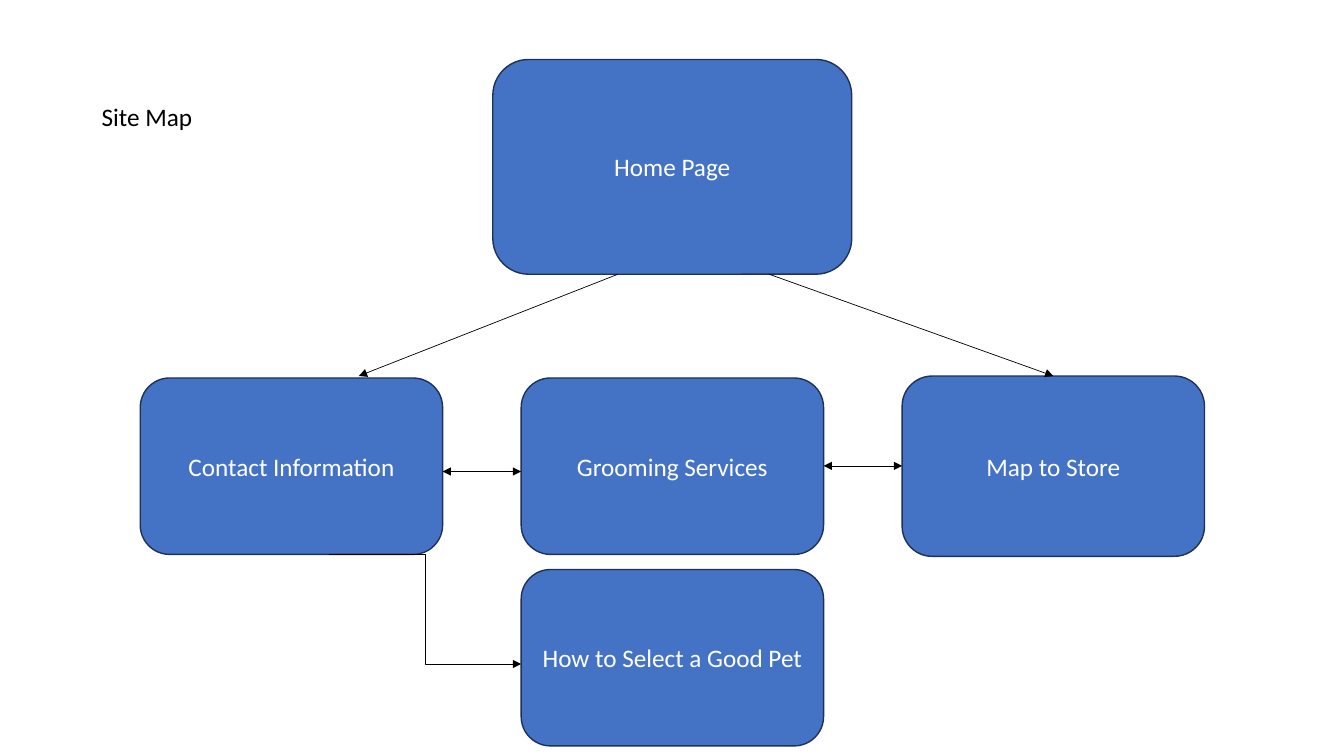
from lxml import etree
from pptx import Presentation
from pptx.dml.color import RGBColor
from pptx.enum.shapes import MSO_CONNECTOR, MSO_SHAPE
from pptx.enum.text import MSO_ANCHOR, MSO_AUTO_SIZE, PP_ALIGN
from pptx.oxml.ns import qn
from pptx.util import Pt

ROUNDED = MSO_SHAPE.ROUNDED_RECTANGLE
STRAIGHT, ELBOW = MSO_CONNECTOR.STRAIGHT, MSO_CONNECTOR.ELBOW
LEFT, CENTER = PP_ALIGN.LEFT, PP_ALIGN.CENTER
MIDDLE = MSO_ANCHOR.MIDDLE
FIT_SHAPE = MSO_AUTO_SIZE.SHAPE_TO_FIT_TEXT

BLUE = RGBColor(0x44, 0x72, 0xC4)
NAVY = RGBColor(0x1E, 0x32, 0x56)
BLACK = RGBColor(0, 0, 0)
WHITE = RGBColor(0xFF, 0xFF, 0xFF)


def write(tf, text, font="Calibri", size=18, color=BLACK, align=LEFT):
    p = tf.paragraphs[0]
    p.alignment = align
    r = p.add_run()
    r.text = text
    r.font.name, r.font.size = font, Pt(size)
    r.font.color.rgb = color


class SiteMap:
    def __init__(self, slide, fill=BLUE, outline=NAVY, ink=BLACK):
        self.s = slide
        self.fill, self.outline, self.ink = fill, outline, ink

    def label(self, text, x, y, w, h):
        sp = self.s.shapes.add_textbox(Pt(x), Pt(y), Pt(w), Pt(h))
        sp.text_frame.word_wrap = False
        sp.text_frame.auto_size = FIT_SHAPE
        write(sp.text_frame, text, color=self.ink)

    def page(self, text, x, y, w, h):
        sp = self.s.shapes.add_shape(ROUNDED, Pt(x), Pt(y), Pt(w), Pt(h))
        sp.shadow.inherit = False
        sp.fill.solid()
        sp.fill.fore_color.rgb = self.fill
        sp.line.color.rgb = self.outline
        sp.line.width = Pt(1)
        tf = sp.text_frame
        tf.word_wrap = True
        tf.vertical_anchor = MIDDLE
        write(tf, text, color=WHITE, align=CENTER)

    def arrow(self, x1, y1, x2, y2, kind=STRAIGHT, both=False):
        c = self.s.shapes.add_connector(kind, Pt(x1), Pt(y1), Pt(x2), Pt(y2))
        c.line.color.rgb = self.ink
        c.line.width = Pt(0.5)
        ln = c.line._get_or_add_ln()
        for end in ("a:headEnd", "a:tailEnd") if both else ("a:tailEnd",):
            etree.SubElement(ln, qn(end), type="triangle")
        etree.SubElement(c._element.spPr, qn("a:effectLst"))


prs = Presentation()
prs.slide_width, prs.slide_height = Pt(960), Pt(540)
site = SiteMap(prs.slides.add_slide(prs.slide_layouts[6]))

# Page grid
W, H, STEP = 216, 126, 272.1
contact_x, grooming_x, map_x = (100.2 + i * STEP for i in range(3))
ROW_Y, PET_Y = 270, 406.8
MAP_Y, MAP_H = 268.6, 128.8
HOME_Y, HOME_H = 42.5, 153.4
HOME_BOTTOM = HOME_Y + HOME_H

# Title and pages
site.label("Site Map", 65.5, 69.1, 80, 29)
site.page("Home Page", 352, HOME_Y, 256.4, HOME_H)
site.page("Grooming Services", grooming_x, ROW_Y, W, H)
site.page("Map to Store", map_x, MAP_Y, W, MAP_H)
site.page("Contact Information", contact_x, ROW_Y, W, H)
site.page("How to Select a Good Pet", grooming_x, PET_Y, W, H)

# Links from the home page
site.arrow(441.4, HOME_BOTTOM, 256.3, MAP_Y)
site.arrow(549.4, HOME_BOTTOM, map_x + W / 2, MAP_Y)

# Links between neighbouring pages
for x, y in ((grooming_x, 332.8), (contact_x, 336.8)):
    site.arrow(x + W, y, x + STEP, y, both=True)

# Link to the pet guide
site.arrow(234.7, ROW_Y + H, grooming_x, 474.3, kind=ELBOW)

prs.save("out.pptx")
